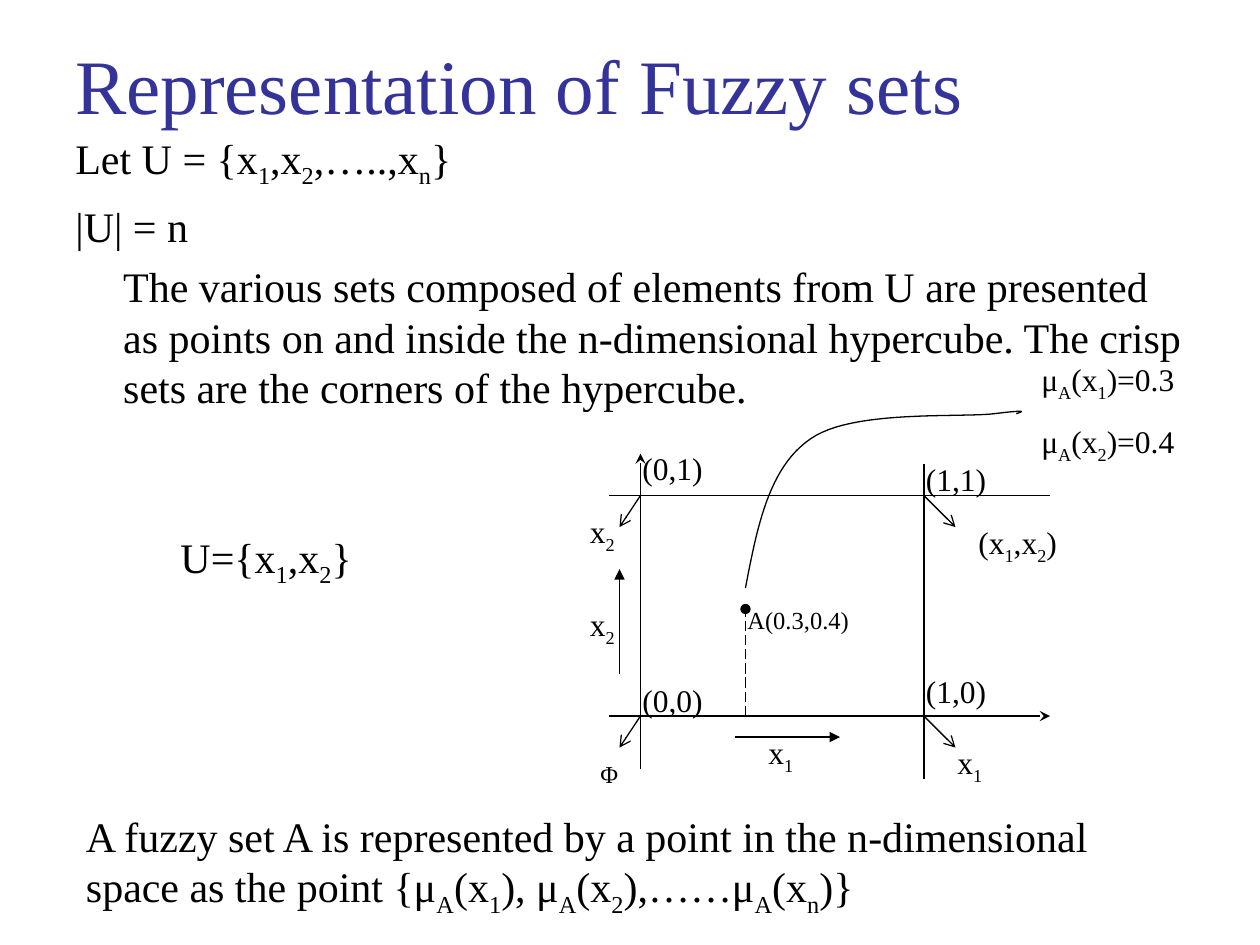
"""Build the slide on fuzzy sets as points of a hypercube."""
from dataclasses import dataclass

from lxml.etree import SubElement
from pptx import Presentation
from pptx.dml.color import RGBColor
from pptx.enum.dml import MSO_LINE
from pptx.enum.shapes import MSO_CONNECTOR
from pptx.enum.text import MSO_ANCHOR, MSO_AUTO_SIZE
from pptx.oxml.ns import qn
from pptx.util import Inches, Pt


@dataclass(frozen=True)
class Theme:
    """Colours, font and type sizes in one place."""
    ink: RGBColor = RGBColor(0x00, 0x00, 0x00)
    accent: RGBColor = RGBColor(0x33, 0x33, 0x99)
    font: str = "Times New Roman"
    title: int = 44
    body: int = 24
    label: int = 18
    small: int = 14
    stroke: float = 0.75
    label_gap: float = 0.62


class SlideBuilder:
    """Draws on one slide; all lengths are cells of a 120 by 90 grid."""

    def __init__(self, presentation, theme):
        """Add a blank slide and derive the grid cell."""
        self.theme = theme
        self.slide = presentation.slides.add_slide(presentation.slide_layouts[6])
        self.cell = presentation.slide_width / 120

    def grid(self, *cells):
        """Turn grid cells into slide lengths."""
        return [round(cell * self.cell) for cell in cells]

    def fill_paragraph(self, paragraph, text, size, color, before):
        """Fill a paragraph; an underscore lowers the next character."""
        paragraph.font.name = self.theme.font
        paragraph.font.size = Pt(size)
        paragraph.font.color.rgb = color
        paragraph.space_before = Pt(before)
        plain, *lowered = text.split("_")
        if plain:
            paragraph.add_run().text = plain
        for piece in lowered:
            subscript = paragraph.add_run()
            subscript.text = piece[0]
            subscript.font._element.set("baseline", "-25000")
            if piece[1:]:
                paragraph.add_run().text = piece[1:]

    def text(self, box, *lines, size, color=None, before=None, grow=True):
        """Add a text box with one paragraph per line."""
        frame = self.slide.shapes.add_textbox(*self.grid(*box)).text_frame
        frame.word_wrap = True
        frame.auto_size = MSO_AUTO_SIZE.SHAPE_TO_FIT_TEXT if grow else MSO_AUTO_SIZE.NONE
        gap = size * self.theme.label_gap if before is None else before
        for index, line in enumerate(lines):
            paragraph = frame.add_paragraph() if index else frame.paragraphs[0]
            self.fill_paragraph(paragraph, line, size, color or self.theme.ink, gap)
        return frame

    def line(self, start, end, head=None, tail=None, dash=None):
        """Add a straight line with optional ends and dashes."""
        connector = self.slide.shapes.add_connector(
            MSO_CONNECTOR.STRAIGHT, *self.grid(*start, *end))
        connector.line.width = Pt(self.theme.stroke)
        connector.line.color.rgb = self.theme.ink
        if dash:
            connector.line.dash_style = dash
        properties = connector._element.spPr
        for tag, kind in (("a:headEnd", head), ("a:tailEnd", tail)):
            if kind:
                SubElement(properties.find(qn("a:ln")), qn(tag), type=kind)
        SubElement(properties, qn("a:effectLst"))

    def curve(self, start, *segments, steps=24):
        """Add an open outline through cubic Bézier segments."""
        points = []
        origin = start
        for first, second, end in segments:
            for step in range(1, steps + 1):
                t = step / steps
                u = 1 - t
                points.append(self.grid(*(
                    u**3 * a + 3 * u * u * t * b + 3 * u * t * t * c + t**3 * d
                    for a, b, c, d in zip(origin, first, second, end))))
            origin = end
        builder = self.slide.shapes.build_freeform(*self.grid(*start))
        builder.add_line_segments(points, close=False)
        shape = builder.convert_to_shape()
        shape.shadow.inherit = False
        shape.fill.background()
        shape.line.color.rgb = self.theme.ink
        shape.line.width = Pt(self.theme.stroke)


def draw_prose(builder, theme):
    """Set the title, the definitions and the conclusion."""
    title = builder.text((6, -2, 108, 15), "Representation of Fuzzy sets",
                         size=theme.title, color=theme.accent, before=0, grow=False)
    title.vertical_anchor = MSO_ANCHOR.BOTTOM
    body = builder.text(
        (6, 12, 108, 59.4), "Let U = {x_1,x_2,…..,x_n}", "|U| = n",
        "The various sets composed of elements from U are presented as points on and "
        "inside the n-dimensional hypercube. The crisp sets are the corners of the hypercube.",
        size=theme.body, before=6, grow=False)
    body.paragraphs[-1]._p.get_or_add_pPr().set("marL", str(Inches(0.38)))
    builder.text((16, 50, 20, 6.7), "U={x_1,x_2}", size=theme.body)
    builder.text(
        (7, 76.6, 99, 11.5),
        "A fuzzy set A is represented by a point in the n-dimensional space "
        "as the point {μ_A(x_1), μ_A(x_2),……μ_A(x_n)}", size=theme.body)


def draw_square(builder, theme):
    """Draw the unit square, its axes, corners and the point A."""
    left, right, top, bottom = 61, 88, 47.2, 68.2
    point = 71
    builder.line((left, top - 4), (left, bottom + 5), head="stealth")
    builder.line((left - 3, bottom), (right + 12, bottom), tail="stealth")
    builder.line((left - 3, top), (right + 12, top))
    builder.line((right, top - 3), (right, bottom + 6))
    builder.line((70, 70.2), (80, 70.2), tail="triangle")
    builder.line((59, 64.2), (59, 54.2), tail="triangle")
    for corner, reach in ((left, -2), (right, 3)):
        for edge in (top, bottom):
            builder.line((corner, edge), (corner + reach, edge + 3), tail="arrow")
    builder.line((point, bottom), (point, 58), tail="oval", dash=MSO_LINE.LONG_DASH)
    builder.curve((point, 56),
                  ((72.1, 50.3), (73.2, 44.5), (77.2, 41.8)),
                  ((81.1, 39), (91.4, 39.8), (94.7, 39.4)),
                  ((98, 39), (97.4, 39.2), (96.8, 39.4)))
    labels = (
        ("(1,0)", 87, 63.4, 10), ("(0,0)", 60, 64.3, 10),
        ("(0,1)", 60, 42.2, 10), ("(1,1)", 87, 43.2, 10),
        ("x_1", 90, 70.2, 10), ("x_1", 72, 69.2, 10),
        ("x_2", 55, 48.2, 6), ("x_2", 55, 57, 6), ("(x_1,x_2)", 92, 49.2, 11),
    )
    for label, column, row, width in labels:
        builder.text((column, row, width, 5), label, size=theme.label)
    builder.text((70, 57, 19, 4), "A(0.3,0.4)", size=theme.small)
    builder.text((98, 33.7, 19, 11.3), "μ_A(x_1)=0.3", "μ_A(x_2)=0.4", size=theme.label)
    builder.text((56, 69, 10, 6.7), "_Φ", size=theme.body)


def main():
    """Build and save the presentation."""
    presentation = Presentation()
    presentation.slide_width, presentation.slide_height = Inches(10), Inches(7.5)
    theme = Theme()
    builder = SlideBuilder(presentation, theme)
    draw_prose(builder, theme)
    draw_square(builder, theme)
    presentation.save("out.pptx")


if __name__ == "__main__":
    main()
